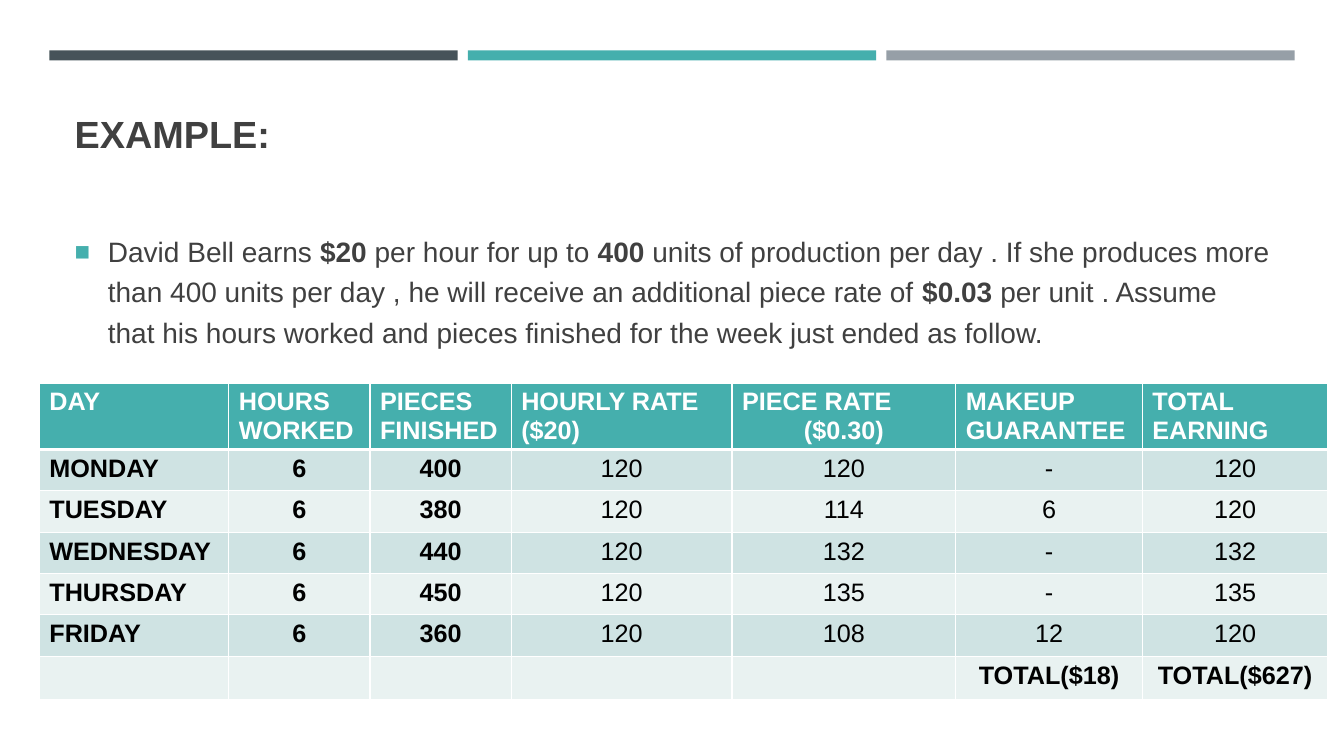
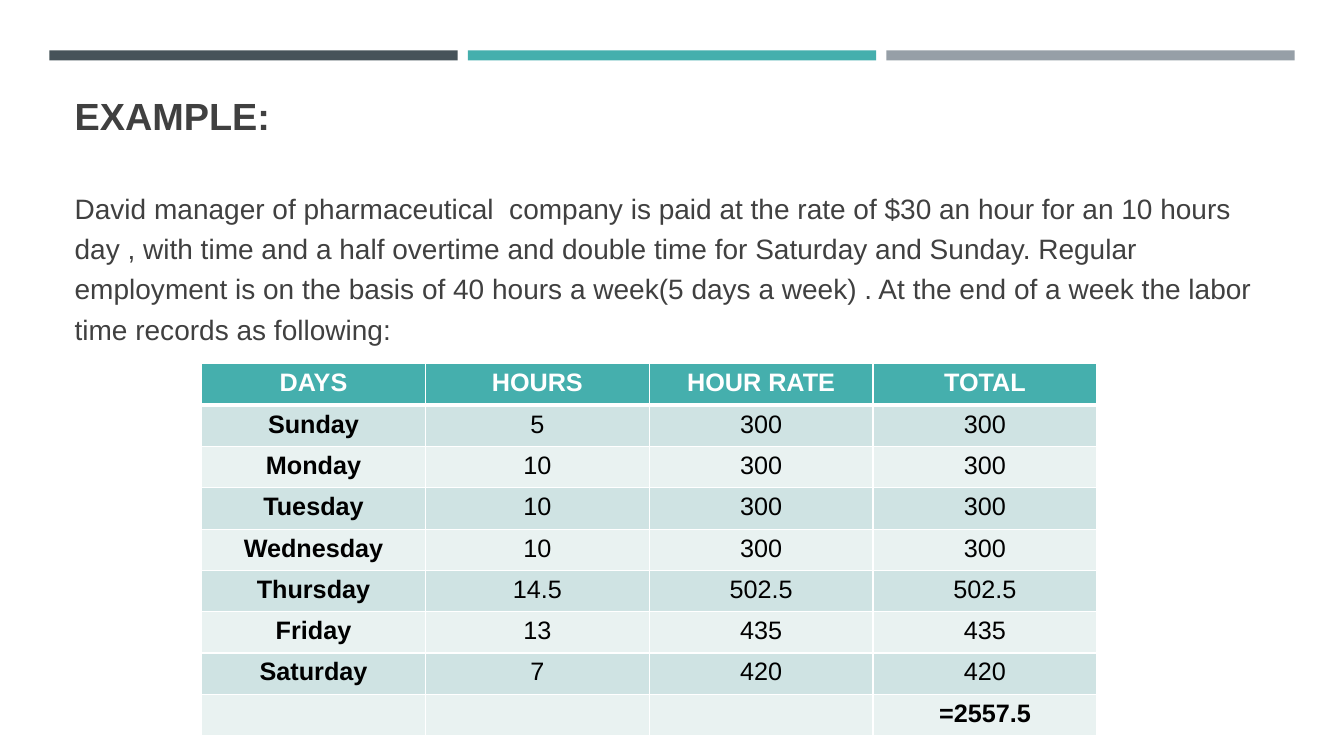
from dataclasses import dataclass

from lxml.etree import SubElement
from pptx import Presentation
from pptx.dml.color import RGBColor
from pptx.enum.shapes import MSO_SHAPE
from pptx.enum.text import MSO_ANCHOR, MSO_AUTO_SIZE, PP_ALIGN
from pptx.oxml import parse_xml
from pptx.oxml.ns import nsdecls, qn
from pptx.util import Inches, Pt


@dataclass(frozen=True)
class Theme:
    font: str = "Arial"
    title_size: int = 27
    body_size: int = 20
    table_size: int = 18
    ink: str = "404040"
    black: str = "000000"
    white: str = "FFFFFF"
    slate: str = "465359"
    teal: str = "45AFAD"
    gray: str = "969FA7"
    row_fills: tuple = ("CFE3E3", "E9F2F1")


THEME = Theme()
LEFT, CENTER = PP_ALIGN.LEFT, PP_ALIGN.CENTER
TEXT_LEFT, TEXT_WIDTH = 0.64, 12.06

RATE_INTRO = [
    "David Bell earns ", ("$20 ",), "per hour for up to ", ("400 ",),
    "units of production per day . If she produces more than 400 units per day , "
    "he will receive an additional piece rate of ", ("$0.03 ",),
    "per unit . Assume that his hours worked and pieces finished for the week "
    "just ended as follow.",
]
RATE_ROWS = [
    ["DAY", "HOURS WORKED", "PIECES FINISHED", "HOURLY RATE ($20)",
     "PIECE RATE\n($0.30)", "MAKEUP GUARANTEE", "TOTAL EARNING"],
    ["MONDAY", "6", "400", "120", "120", "-", "120"],
    ["TUESDAY", "6", "380", "120", "114", "6", "120"],
    ["WEDNESDAY", "6", "440", "120", "132", "-", "132"],
    ["THURSDAY", "6", "450", "120", "135", "-", "135"],
    ["FRIDAY", "6", "360", "120", "108", "12", "120"],
    ["", "", "", "", "", "TOTAL($18)", "TOTAL($627)"],
]
OVERTIME_INTRO = [
    "David manager of pharmaceutical  company is paid at the rate of $30 an hour "
    "for an 10 hours day , with time and a half overtime and double time for "
    "Saturday and Sunday. Regular employment is on the basis of 40 hours a "
    "week(5 days a week) . At the end of a week the labor time records as following:"
]
OVERTIME_ROWS = [
    ["DAYS", "HOURS", "HOUR RATE", "TOTAL"],
    ["Sunday", "5", "300", "300"],
    ["Monday", "10", "300", "300"],
    ["Tuesday", "10", "300", "300"],
    ["Wednesday", "10", "300", "300"],
    ["Thursday", "14.5", "502.5", "502.5"],
    ["Friday", "13", "435", "435"],
    ["Saturday", "7", "420", "420"],
    ["", "", "", "=2557.5"],
]


def write(para, spans, *, size, color, bold=False, align=LEFT, line=None, before=0, after=0):
    para.alignment = align
    para.space_before, para.space_after = Pt(before), Pt(after)
    if line:
        para.line_spacing = line
    for item in spans:
        span = para.add_run()
        emphasized = isinstance(item, tuple)
        span.text = item[0] if emphasized else item
        span.font.name = THEME.font
        span.font.size = Pt(size)
        span.font.bold = bold or emphasized
        span.font.color.rgb = RGBColor.from_string(color)


def set_bullet(para, bulleted):
    properties = para._p.get_or_add_pPr()
    indent = Inches(0.33) if bulleted else 0
    properties.set("marL", str(indent))
    properties.set("indent", str(-indent))
    if not bulleted:
        SubElement(properties, qn("a:buNone"))
        return
    color = SubElement(properties, qn("a:buClr"))
    SubElement(color, qn("a:srgbClr"), val=THEME.teal)
    SubElement(properties, qn("a:buSzPct"), val="92000")
    SubElement(properties, qn("a:buFont"), typeface=THEME.font)
    SubElement(properties, qn("a:buChar"), char="■")


def place(box, top, height, anchor):
    box.left, box.top = Inches(TEXT_LEFT), Inches(top)
    box.width, box.height = Inches(TEXT_WIDTH), Inches(height)
    frame = box.text_frame
    frame.word_wrap = True
    frame.auto_size = MSO_AUTO_SIZE.NONE
    frame.vertical_anchor = anchor
    return frame.paragraphs[0]


def add_master_bands(deck, page):
    for index, color in enumerate((THEME.slate, THEME.teal, THEME.gray)):
        band = page.shapes.add_shape(
            MSO_SHAPE.RECTANGLE, Inches(0.49 + 4.15 * index), Inches(0.5),
            Inches(4.05), Inches(0.1))
        band.shadow.inherit = False
        band.fill.solid()
        band.fill.fore_color.rgb = RGBColor.from_string(color)
        band.line.fill.background()
        band.name = f"Band {index + 1}"
        band.element.nvSpPr.cNvPr.set("id", str(101 + index))
        deck.slide_master.element.cSld.spTree.append(band.element)


def add_page(deck, intro, *, title_height, body_top, body_height, bulleted=False):
    page = deck.slides.add_slide(deck.slide_layouts[1])
    title = place(page.shapes.title, 0.77, title_height, MSO_ANCHOR.BOTTOM)
    write(title, ["EXAMPLE:"], size=THEME.title_size, color=THEME.ink, bold=True, line=0.9)
    body = place(page.placeholders[1], body_top, body_height, MSO_ANCHOR.MIDDLE)
    write(body, intro, size=THEME.body_size, color=THEME.ink, line=1.2, before=4, after=6)
    set_bullet(body, bulleted)
    return page


def set_borders(cell, top, bottom):
    properties = cell._tc.get_or_add_tcPr()
    widths = {"lnL": 1, "lnR": 1, "lnT": top, "lnB": bottom}
    for index, (side, width) in enumerate(widths.items()):
        properties.insert(index, parse_xml(
            f'<a:{side} {nsdecls("a")} w="{Pt(width)}"><a:solidFill>'
            f'<a:srgbClr val="{THEME.white}"/></a:solidFill></a:{side}>'))


def fill_cell(cell, text, row, *, bold, align):
    is_header = row == 0
    cell.fill.solid()
    fill = THEME.teal if is_header else THEME.row_fills[(row - 1) % 2]
    cell.fill.fore_color.rgb = RGBColor.from_string(fill)
    set_borders(cell, 3 if row == 1 else 1, 3 if is_header else 1)
    frame = cell.text_frame
    for index, line in enumerate(text.split("\n") if text else []):
        para = frame.add_paragraph() if index else frame.paragraphs[0]
        write(para, [line], size=THEME.table_size, bold=bold,
              color=THEME.white if is_header else THEME.black,
              align=CENTER if index else align)


def add_grid(page, rows, *, left, top, widths, heights, bold_columns, label_align):
    grid = page.shapes.add_table(
        len(rows), len(widths), Inches(left), Inches(top),
        Inches(sum(widths)), Inches(sum(heights))).table
    for column, width in zip(grid.columns, widths):
        column.width = Inches(width)
    for grid_row, height in zip(grid.rows, heights):
        grid_row.height = Inches(height)
    for row, texts in enumerate(rows):
        for column, text in enumerate(texts):
            is_label = row == 0 or column == 0
            fill_cell(grid.cell(row, column), text, row,
                      bold=row in (0, len(rows) - 1) or column < bold_columns,
                      align=label_align if is_label else CENTER)


def main():
    deck = Presentation()
    deck.slide_width, deck.slide_height = Inches(13.33), Inches(7.5)

    rate_page = add_page(deck, RATE_INTRO, title_height=0.83,
                         body_top=2.2, body_height=1.32, bulleted=True)
    add_master_bands(deck, rate_page)
    add_grid(rate_page, RATE_ROWS, left=0.39, top=3.8,
             widths=[1.88, 1.4, 1.4, 2.19, 2.22, 1.85, 1.84],
             heights=[0.65] + [0.41] * 5 + [0.43], bold_columns=3, label_align=LEFT)

    overtime_page = add_page(deck, OVERTIME_INTRO, title_height=0.66,
                             body_top=1.78, body_height=1.7)
    add_grid(overtime_page, OVERTIME_ROWS, left=2, top=3.61, widths=[2.22] * 4,
             heights=[0.41] * len(OVERTIME_ROWS), bold_columns=1, label_align=CENTER)

    deck.save("out.pptx")


if __name__ == "__main__":
    main()
